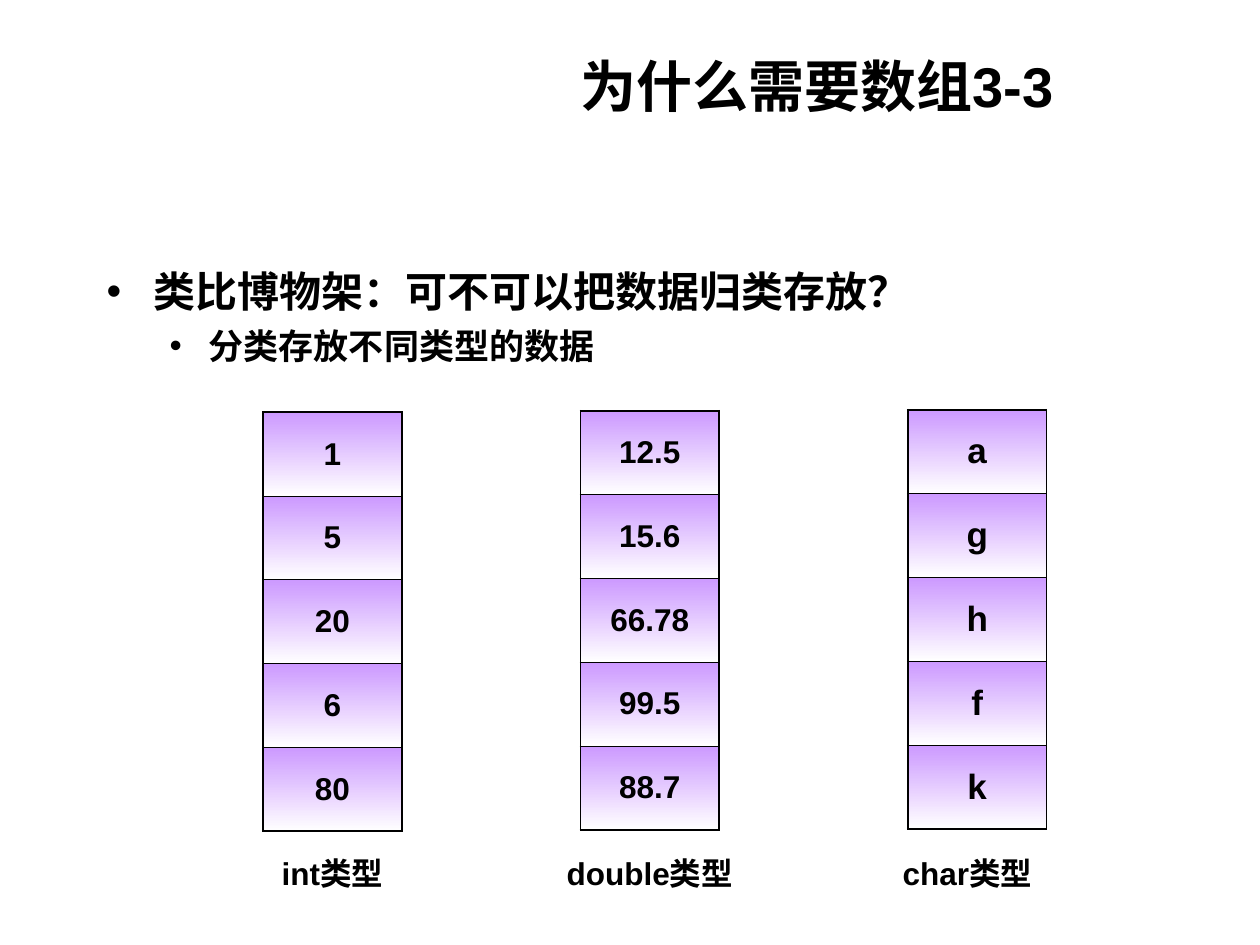
from lxml import etree
from pptx import Presentation
from pptx import util as u
from pptx.dml.color import RGBColor
from pptx.enum import text
from pptx.oxml import ns

BLACK = RGBColor(0x00, 0x00, 0x00)
WHITE = RGBColor(0xFF, 0xFF, 0xFF)
LILAC = RGBColor(0xCC, 0x99, 0xFF)
OUTER, INNER = u.Pt(1.08), u.Pt(0.45)
LEFT, CENTER, RIGHT = text.PP_ALIGN.LEFT, text.PP_ALIGN.CENTER, text.PP_ALIGN.RIGHT


def add_xml(parent, tag, **attrs):
    return etree.SubElement(parent, ns.qn(tag), {k: str(v) for k, v in attrs.items()})


class Deck:
    style = {"name": "Arial", "bold": True}

    def __init__(self, width, height):
        self.prs = Presentation()
        self.prs.slide_width, self.prs.slide_height = u.Cm(width), u.Cm(height)
        self.s = self.prs.slides.add_slide(self.prs.slide_layouts[6])

    def add_words(self, p, words, size, align):
        p.alignment = align
        r = p.add_run()
        r.text = words
        r.font.color.rgb = BLACK
        for key, value in {**self.style, "size": u.Pt(size)}.items():
            setattr(r.font, key, value)

    def box(self, x, y, w, h, anchor=text.MSO_ANCHOR.TOP):
        tf = self.s.shapes.add_textbox(u.Cm(x), u.Cm(y), u.Cm(w), u.Cm(h)).text_frame
        fmt = {
            "word_wrap": True,
            "auto_size": text.MSO_AUTO_SIZE.SHAPE_TO_FIT_TEXT,
            "vertical_anchor": anchor,
        }
        for key, value in fmt.items():
            setattr(tf, key, value)
        return tf

    def label(self, words, size, align, *place):
        self.add_words(self.box(*place).paragraphs[0], words, size, align)

    def bullets(self, items, *place):
        tf = self.box(*place)
        for level, (words, size, margin, hang) in enumerate(items):
            p = tf.add_paragraph() if level else tf.paragraphs[0]
            if level:
                p.level = level
                p.space_before = u.Pt(5)
            pPr = p._p.get_or_add_pPr()
            pPr.set("marL", str(u.Cm(margin)))
            pPr.set("indent", str(-u.Cm(hang)))
            add_xml(add_xml(pPr, "a:buClr"), "a:srgbClr", val=BLACK)
            add_xml(pPr, "a:buFont", typeface="Arial")
            add_xml(pPr, "a:buChar", char="•")
            self.add_words(p, words, size, LEFT)

    def borders(self, cell, widths):
        tcPr = cell._tc.get_or_add_tcPr()
        for side, width in widths.items():
            ln = add_xml(tcPr, f"a:ln{side}", w=width)
            add_xml(add_xml(ln, "a:solidFill"), "a:srgbClr", val=BLACK)

    def array(self, values, size, x, y, w, row_h):
        n = len(values)
        frame = self.s.shapes.add_table(n, 1, u.Cm(x), u.Cm(y), u.Cm(w), u.Cm(row_h * n))
        tbl = frame.table
        tbl.first_row = tbl.horz_banding = False
        for i, value in enumerate(values):
            cell = tbl.cell(i, 0)
            cell.vertical_anchor = text.MSO_ANCHOR.MIDDLE
            self.borders(cell, {
                "L": OUTER,
                "R": OUTER,
                "T": INNER if i else OUTER,
                "B": INNER if i < n - 1 else OUTER,
            })
            cell.fill.gradient()
            cell.fill.gradient_angle = 270
            for stop, position, color in zip(cell.fill.gradient_stops, (0, 1), (LILAC, WHITE)):
                stop.position = position
                stop.color.rgb = color
            self.add_words(cell.text_frame.paragraphs[0], value, size, CENTER)


def main():
    deck = Deck(25.4, 19.05)
    deck.bullets(
        [("类比博物架：可不可以把数据归类存放？", 24, 0.95, 0.95),
         ("分类存放不同类型的数据", 20, 2.06, 0.79)],
        1.9, 5.23, 16.8, 2.31)
    deck.label("为什么需要数组3-3", 32, RIGHT, 10.9, 0.91, 10.59, 1.63, text.MSO_ANCHOR.MIDDLE)

    arrays = [
        ("int类型", ["1", "5", "20", "6", "80"], 18, 5.3, 8.31),
        ("double类型", ["12.5", "15.6", "66.78", "99.5", "88.7"], 18, 11.7, 8.28),
        ("char类型", ["a", "g", "h", "f", "k"], 20, 18.3, 8.26),
    ]
    for i, (name, values, size, x, y) in enumerate(arrays):
        deck.array(values, size, x, y, 2.8, 1.69)
        deck.label(name, 18, CENTER, 4.7 + 6.4 * i, 17.1, 4, 1.02)
    deck.prs.save("out.pptx")


if __name__ == "__main__":
    main()
